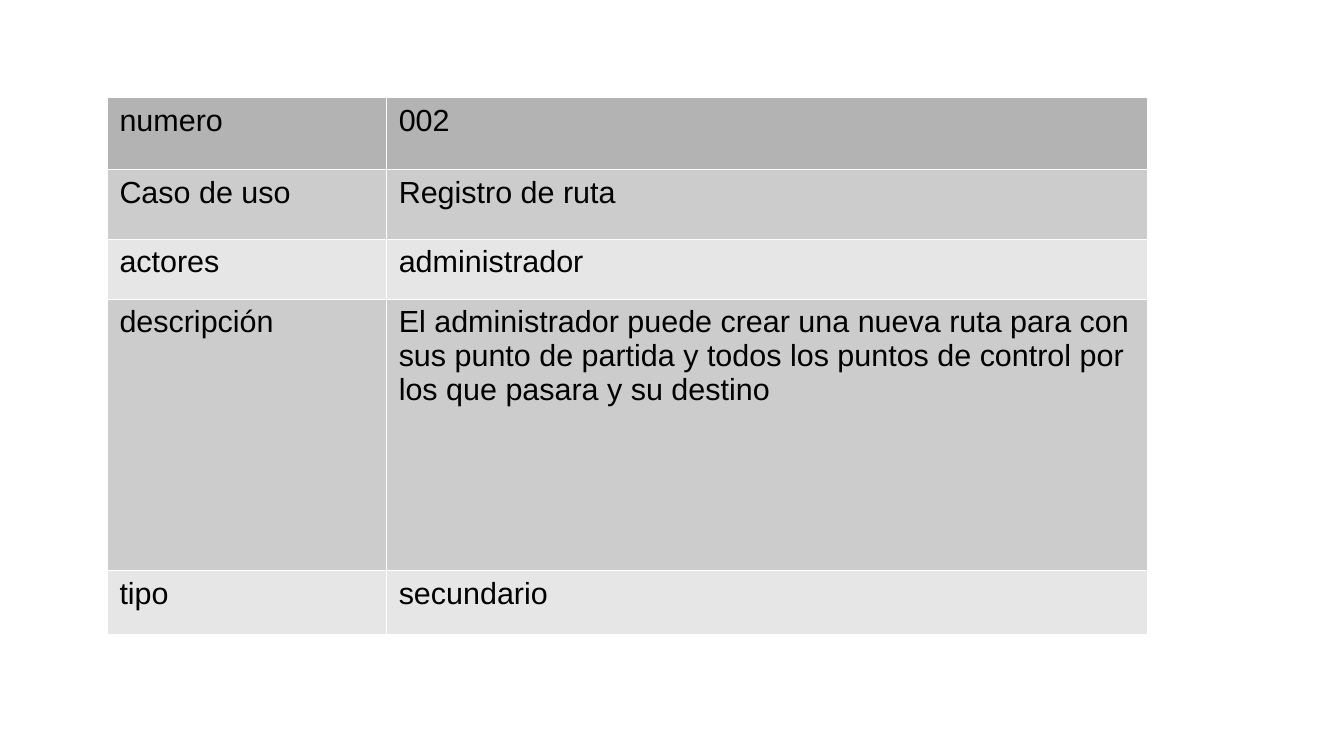
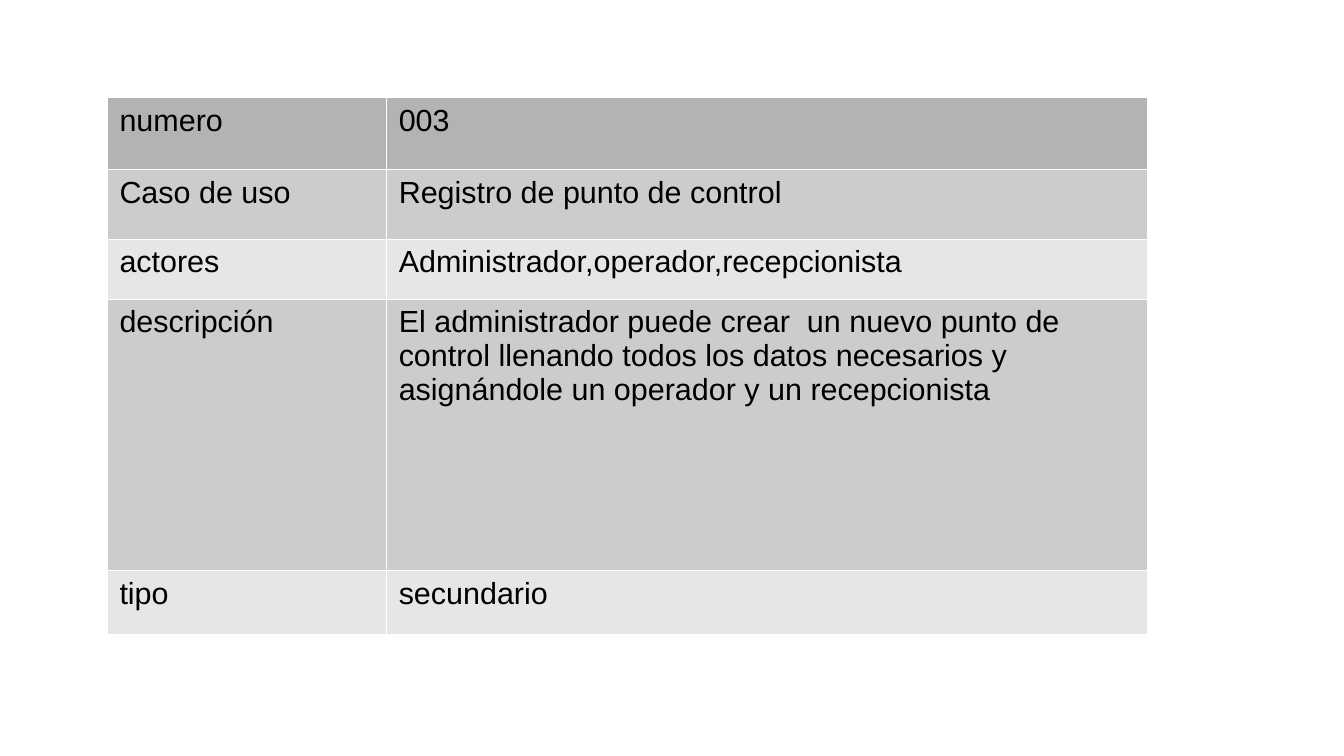
from lxml import etree
from pptx import Presentation
from pptx.dml.color import RGBColor
from pptx.oxml import ns
from pptx.util import Inches, Pt

BLACK = RGBColor(0x00, 0x00, 0x00)
WHITE = RGBColor(0xFF, 0xFF, 0xFF)
HEAD = RGBColor(0xB3, 0xB3, 0xB3)
DARK = RGBColor(0xCC, 0xCC, 0xCC)
LIGHT = RGBColor(0xE6, 0xE6, 0xE6)

FONT = "Arial"
BOX = (0.88, 0.8, 8.53, 4.4)
COLS = (2.29, 6.24)
ROWS = (0.59, 0.57, 0.49, 2.23, 0.52)
LABELS = ("numero", "Caso de uso", "actores", "descripción", "tipo")

CASES = (
    ("002", "Registro de ruta", "administrador",
     "El administrador puede crear una nueva ruta para con sus punto de "
     "partida y todos los puntos de control por los que pasara y su destino",
     "secundario"),
    ("003", "Registro de punto de control",
     "Administrador,operador,recepcionista",
     "El administrador puede crear  un nuevo punto de control llenando todos "
     "los datos necesarios y asignándole un operador y un recepcionista",
     "secundario"),
)


def add_borders(cell):
    props = cell._tc.get_or_add_tcPr()
    for side in ("a:lnL", "a:lnR", "a:lnT", "a:lnB"):
        line = etree.SubElement(props, ns.qn(side), w=str(int(Pt(0.06))))
        fill = etree.SubElement(line, ns.qn("a:solidFill"))
        etree.SubElement(fill, ns.qn("a:srgbClr"), val=str(WHITE))


def fill_cell(cell, words, color):
    add_borders(cell)
    cell.fill.solid()
    cell.fill.fore_color.rgb = color
    cell.margin_left = cell.margin_right = Inches(0.1)
    cell.margin_top = cell.margin_bottom = Inches(0.05)
    cell.text = words
    font = cell.text_frame.paragraphs[0].font
    font.name = FONT
    font.size = Pt(18)
    font.bold = False
    font.color.rgb = BLACK


def row_color(row):
    if row == 0:
        return HEAD
    return DARK if row % 2 else LIGHT


def add_case(slide, box, values):
    """Place a use case as a table of labels and values."""
    table = slide.shapes.add_table(
        len(ROWS), len(COLS), *map(Inches, box)).table
    for column, width in zip(table.columns, COLS):
        column.width = Inches(width)
    for row, height in zip(table.rows, ROWS):
        row.height = Inches(height)
    for row, pair in enumerate(zip(LABELS, values)):
        for col, words in enumerate(pair):
            fill_cell(table.cell(row, col), words, row_color(row))


def main():
    deck = Presentation()
    deck.slide_width = Inches(11.02)
    deck.slide_height = Inches(6.2)
    for values in CASES:
        slide = deck.slides.add_slide(deck.slide_layouts[6])
        add_case(slide, BOX, values)
    deck.save("out.pptx")


if __name__ == "__main__":
    main()
